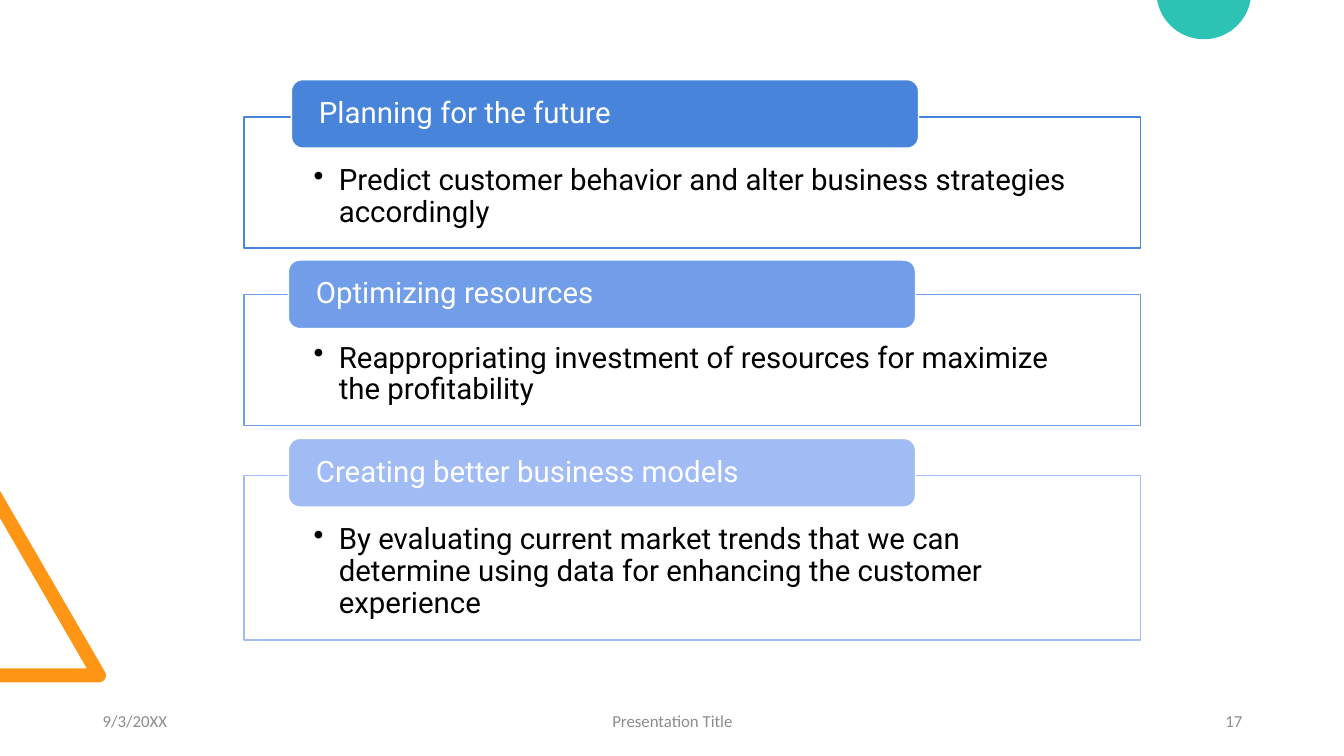
from math import cos, radians, sin

from pptx import Presentation
from pptx.dml.color import RGBColor
from pptx.enum.shapes import MSO_SHAPE
from pptx.enum.text import MSO_ANCHOR, PP_ALIGN
from pptx.oxml.ns import qn
from pptx.util import Inches, Pt

WHITE = "FFFFFF"
SECTIONS = [
    ("Planning for the future",
     "Predict customer behavior and alter business strategies accordingly",
     "4784DA", (2.89, 0.79), 1.16, 1.3),
    ("Optimizing resources",
     "Reappropriating investment of resources for maximize the profitability",
     "729EE9", (2.86, 2.58), 2.92, 1.3),
    ("Creating better business models",
     "By evaluating current market trends that we can determine using data "
     "for enhancing the customer experience",
     "A1BCF5", (2.86, 4.35), 4.72, 1.63),
]
FOOTERS = [
    ("9/3/20XX", 0.92, 3, PP_ALIGN.LEFT),
    ("Presentation Title", 4.42, 4.5, PP_ALIGN.CENTER),
    ("17", 9.42, 3, PP_ALIGN.RIGHT),
]


def rgb(code):
    """Turn a hex string into a colour."""
    return RGBColor.from_string(code)


def arc(cx, cy, radius, start, end, steps=40):
    """Return points along an arc, with angles in degrees clockwise from the right."""
    angles = [radians(start + (end - start) * i / steps) for i in range(steps + 1)]
    return [(cx + radius * cos(a), cy + radius * sin(a)) for a in angles]


def style(sp, fill, line=None):
    """Give a shape its fill and outline, without a shadow."""
    sp.shadow.inherit = False
    sp.fill.solid()
    sp.fill.fore_color.rgb = rgb(fill)
    if line:
        sp.line.color.rgb = rgb(line)
        sp.line.width = Pt(1)
    else:
        sp.line.fill.background()


def add_outline(s, points, fill):
    """Add a filled closed shape through points given in inches."""
    start, *rest = [(Inches(x), Inches(y)) for x, y in points]
    builder = s.shapes.build_freeform(*start)
    builder.add_line_segments(rest, close=True)
    style(builder.convert_to_shape(), fill)


def write(sp, text, size, font, color, anchor, align=PP_ALIGN.LEFT, insets=None):
    """Write one paragraph into a shape and return it."""
    tf = sp.text_frame
    tf.word_wrap = True
    tf.vertical_anchor = anchor
    if insets:
        tf.margin_left = tf.margin_right = Inches(insets[0])
        tf.margin_top, tf.margin_bottom = Inches(insets[1]), Inches(insets[2])
    p = tf.paragraphs[0]
    p.alignment = align
    r = p.add_run()
    r.text = text
    r.font.size = Pt(size)
    r.font.name = font
    r.font.color.rgb = rgb(color)
    return p


def add_bullet(p):
    """Give a paragraph a hanging round bullet."""
    pPr = p._p.get_or_add_pPr()
    pPr.set("marL", str(Inches(0.25)))
    pPr.set("indent", str(-Inches(0.25)))
    bullet = pPr.makeelement(qn("a:buChar"), {"char": "•"})
    pPr.append(bullet)


def set_opacity(sp, percent):
    """Make a solid fill partly transparent."""
    color = sp.fill._xPr.find(qn("a:solidFill"))[0]
    color.append(color.makeelement(qn("a:alpha"), {"val": str(percent * 1000)}))


def add_section(s, heading, detail, color, heading_at, top, height):
    """Add a framed bullet with a coloured heading over its top edge."""
    frame = s.shapes.add_shape(MSO_SHAPE.RECTANGLE, Inches(2.42), Inches(top),
                               Inches(8.89), Inches(height))
    style(frame, WHITE, color)
    set_opacity(frame, 90)
    p = write(frame, detail, 21, "Roboto", "000000", MSO_ANCHOR.TOP,
              insets=(0.69, 0.48, 0.16))
    p.line_spacing = 0.9
    add_bullet(p)

    left, heading_top = heading_at
    label = s.shapes.add_shape(MSO_SHAPE.ROUNDED_RECTANGLE, Inches(left),
                               Inches(heading_top), Inches(6.22), Inches(0.68))
    style(label, color, WHITE)
    p = write(label, heading, 21, "Roboto", WHITE, MSO_ANCHOR.MIDDLE,
              insets=(0.24, 0, 0))
    p.line_spacing = 0.9


def add_footer(s, text, left, width, align):
    """Add one grey footer text."""
    sp = s.shapes.add_textbox(Inches(left), Inches(6.95), Inches(width), Inches(0.4))
    write(sp, text, 12, "Calibri", "8C8C8C", MSO_ANCHOR.MIDDLE, align)


def main():
    """Build the slide and save it."""
    prs = Presentation()
    prs.slide_width, prs.slide_height = Inches(13.33), Inches(7.5)
    s = prs.slides.add_slide(prs.slide_layouts[6])
    triangle = [(0, 6.77), (0, 6.63), (0.86, 6.63), (0, 5.14), (0, 4.87)]
    add_outline(s, triangle + arc(0.98, 6.7, 0.07, -30, 90), "FF9514")
    add_outline(s, arc(11.94, -0.08, 0.47, 10, 170), "2CC3B4")
    for footer in FOOTERS:
        add_footer(s, *footer)
    for section in SECTIONS:
        add_section(s, *section)
    prs.save("out.pptx")


if __name__ == "__main__":
    main()
